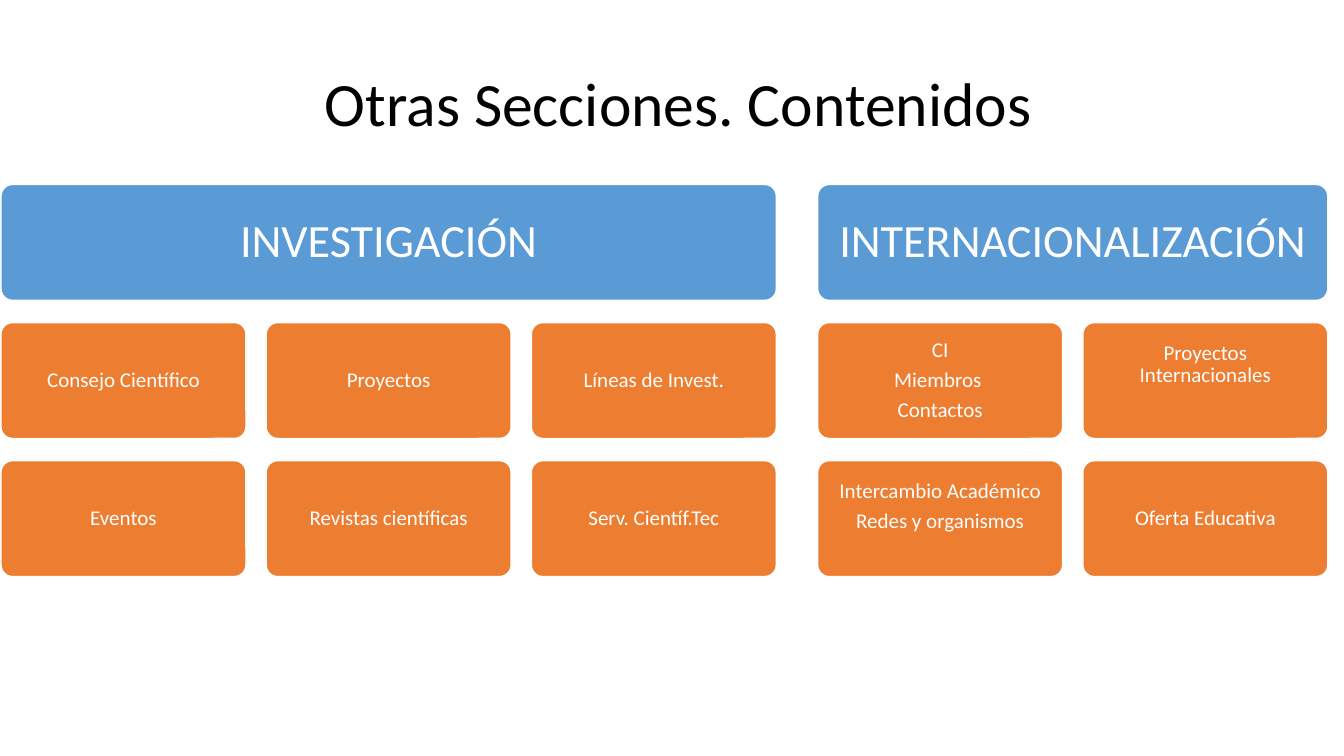
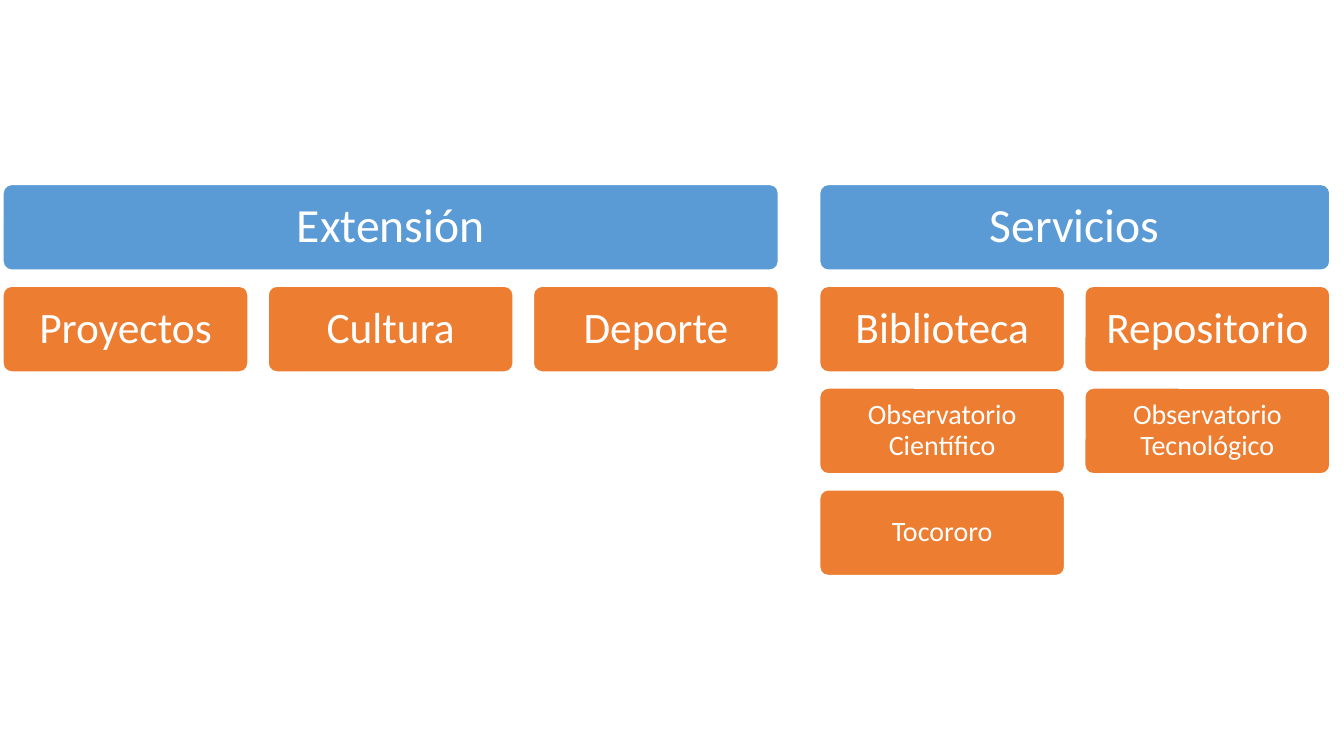
import pptx
import pptx.util
import pptx.dml.color
import pptx.enum.shapes
import pptx.enum.text
from dataclasses import dataclass

Inches, Pt = pptx.util.Inches, pptx.util.Pt
Anchor = pptx.enum.text.MSO_ANCHOR


@dataclass(frozen=True)
class Theme:
    """Colours, type sizes and spacing shared by the slides."""
    font: str = "Calibri"
    head: str = "5B9BD5"
    item: str = "ED7D31"
    light: str = "FFFFFF"
    dark: str = "000000"
    title: int = 44
    small: int = 15
    medium: int = 20
    large: int = 31
    width: float = 2.43
    pitch: float = 2.63
    gap: float = 0.41
    top: float = 1.83
    inset: float = 0.1


THEME = Theme()


def color(code):
    """Turn a hex code into a colour."""
    return pptx.dml.color.RGBColor.from_string(code)


def write(frame, text, size, tint):
    """Fill a text frame with centred paragraphs."""
    frame.word_wrap = True
    frame.text = text
    for par in frame.paragraphs:
        par.alignment = pptx.enum.text.PP_ALIGN.CENTER
        par.font.name = THEME.font
        par.font.size = Pt(size)
        par.font.color.rgb = color(tint)


def add_title(slide, text):
    """Add the slide title."""
    box = slide.shapes.add_textbox(Inches(1.24), Inches(0.6), Inches(10.98), Inches(0.84))
    write(box.text_frame, text, THEME.title, THEME.dark)


def add_card(slide, left, top, width, height, text, size, fill, lift=None):
    """Add a rounded card; lift is the top margin of text set at the top."""
    card = slide.shapes.add_shape(
        pptx.enum.shapes.MSO_SHAPE.ROUNDED_RECTANGLE,
        Inches(left), Inches(top), Inches(width), Inches(height))
    card.adjustments[0] = 0.1
    card.shadow.inherit = False
    card.fill.solid()
    card.fill.fore_color.rgb = color(fill)
    card.line.color.rgb = color(THEME.light)
    card.line.width = Pt(1)
    frame = card.text_frame
    write(frame, text, size, THEME.light)
    frame.margin_left = frame.margin_right = Inches(THEME.inset)
    frame.margin_top = frame.margin_bottom = Inches(THEME.inset)
    frame.vertical_anchor = Anchor.MIDDLE
    if lift is not None:
        frame.vertical_anchor = Anchor.TOP
        frame.margin_top = Inches(lift)
    for par in frame.paragraphs:
        par.line_spacing = 0.9
        par.space_after = Pt(0.35 * size)


def add_groups(slide, left, height, pitch, size, groups):
    """Add headed groups of cards side by side."""
    for head, rows in groups:
        count = len(rows[0])
        width = (count - 1) * THEME.pitch + THEME.width
        add_card(slide, left, THEME.top, width, height, head, size, THEME.head)
        for row, cards in enumerate(rows, 1):
            for col, card in enumerate(cards):
                add_card(slide, left + col * THEME.pitch, THEME.top + row * pitch,
                         THEME.width, height, *card)
        left += width + THEME.gap


def items(size, *texts, lifts=None):
    """Describe a row of item cards."""
    lifts = lifts or {}
    return [(text, size, THEME.item, lifts.get(col)) for col, text in enumerate(texts)]


def main():
    """Build and save the deck."""
    deck = pptx.Presentation()
    deck.slide_width, deck.slide_height = Inches(13.33), Inches(7.5)
    blank = deck.slide_layouts[6]
    small, medium, large = THEME.small, THEME.medium, THEME.large

    slide = deck.slides.add_slide(blank)
    add_groups(slide, 0.01, 1.15, 1.37, 33, [
        ("INVESTIGACIÓN", [
            items(small, "Consejo Científico", "Proyectos", "Líneas de Invest."),
            items(small, "Eventos", "Revistas científicas", "Serv. Científ.Tec"),
        ]),
        ("INTERNACIONALIZACIÓN", [
            items(small, "CI\nMiembros \nContactos", "Proyectos Internacionales",
                  lifts={1: 0.16}),
            items(small, "Intercambio Académico\nRedes y organismos", "Oferta Educativa",
                  lifts={0: 0.16}),
        ]),
    ])
    add_title(slide, "Otras Secciones. Contenidos")

    slide = deck.slides.add_slide(blank)
    add_groups(slide, 0.03, 0.85, 1.01, 34, [
        ("Extensión", [items(large, "Proyectos", "Cultura", "Deporte")]),
        ("Servicios", [
            items(large, "Biblioteca", "Repositorio"),
            items(medium, "Observatorio Científico", "Observatorio Tecnológico"),
            items(medium, "Tocororo"),
        ]),
    ])
    deck.save("out.pptx")


main()
